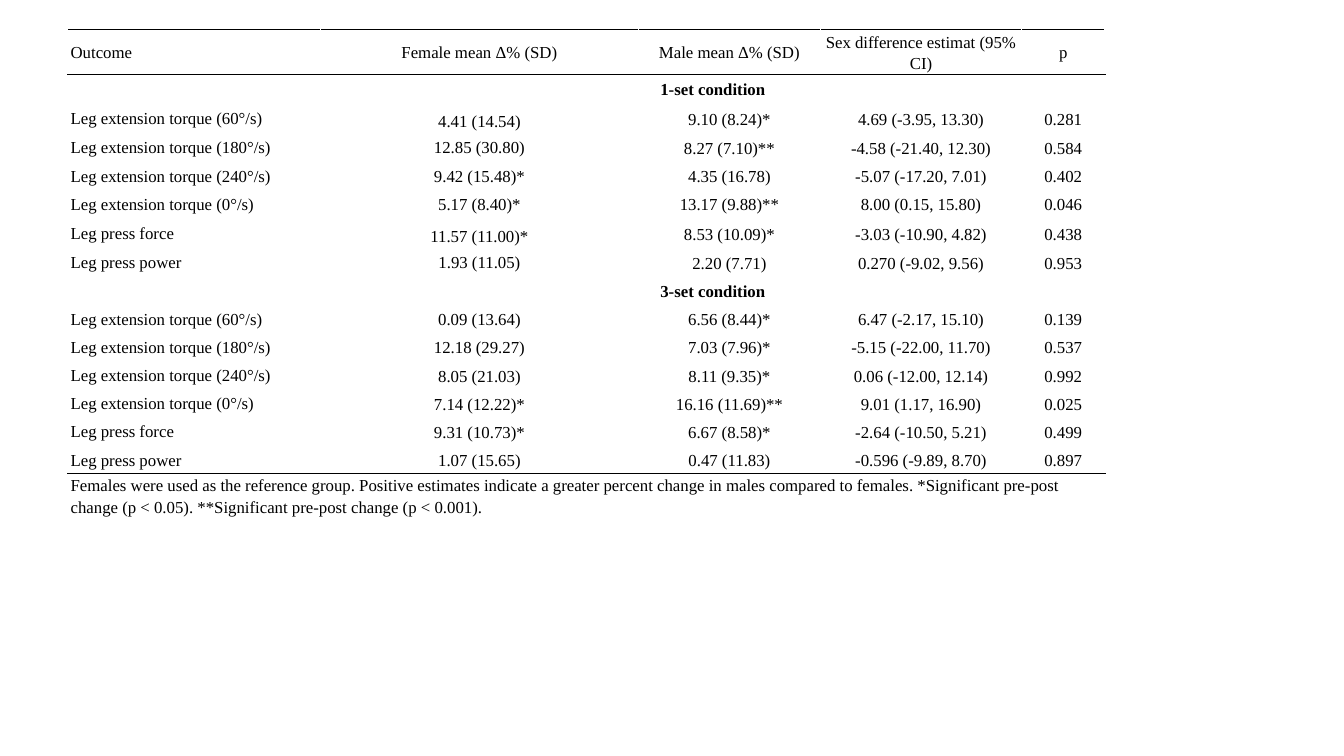
"""Build a slide tabulating strength changes by sex and training condition."""
from dataclasses import dataclass

from lxml import etree
from pptx import Presentation
from pptx import util as u
from pptx.dml.color import RGBColor
from pptx.enum import text
from pptx.oxml.ns import qn
from pptx.table import Table, _Cell

BLACK = RGBColor(0x00, 0x00, 0x00)
WHITE = RGBColor(0xFF, 0xFF, 0xFF)
FONT = "Times New Roman"
SIZE = u.Pt(12)
SLIDE_WIDTH, SLIDE_HEIGHT = u.Inches(13.33), u.Inches(7.5)
LEFT, TOP = 5.03, 3.87
COLUMN_SHARES = (18.83, 23.63, 13.58, 14.93, 6.23)
ROW_SHARE = 3.73


@dataclass(frozen=True)
class Insets:
    """Cell margins in inches."""
    left: float
    top: float
    right: float
    bottom: float


LABEL = Insets(0.03, 0.01, 0.03, 0.01)
VALUE = Insets(0.01, 0.01, 0.01, 0)
PADDED = Insets(0.01, 0.02, 0.01, 0.02)
LOWERED = Insets(0.01, 0.07, 0.01, 0.02)


@dataclass(frozen=True)
class Outcome:
    """One measured outcome and its results for both sexes."""
    name: str
    female: str
    male: str
    difference: str
    p: str
    female_insets: Insets = VALUE


@dataclass(frozen=True)
class Condition:
    """A training condition with its outcomes."""
    name: str
    insets: Insets
    outcomes: tuple[Outcome, ...]


TORQUE_60 = "Leg extension torque (60°/s)"
TORQUE_180 = "Leg extension torque (180°/s)"
TORQUE_240 = "Leg extension torque (240°/s)"
TORQUE_0 = "Leg extension torque (0°/s)"
FORCE = "Leg press force"
POWER = "Leg press power"

HEADINGS = ("Outcome", "Female mean Δ% (SD)", "Male mean Δ% (SD)",
            "Sex difference estimat (95% CI)", "p")
CONDITIONS = (
    Condition("1-set condition", LABEL, (
        Outcome(TORQUE_60, "4.41 (14.54)", "9.10 (8.24)*", "4.69 (-3.95, 13.30)", "0.281", LOWERED),
        Outcome(TORQUE_180, "12.85 (30.80)", "8.27 (7.10)**", "-4.58 (-21.40, 12.30)", "0.584", PADDED),
        Outcome(TORQUE_240, "9.42 (15.48)*", "4.35 (16.78)", "-5.07 (-17.20, 7.01)", "0.402", PADDED),
        Outcome(TORQUE_0, "5.17 (8.40)*", "13.17 (9.88)**", "8.00 (0.15, 15.80)", "0.046", PADDED),
        Outcome(FORCE, "11.57 (11.00)*", "8.53 (10.09)*", "-3.03 (-10.90, 4.82)", "0.438", LOWERED),
        Outcome(POWER, "1.93 (11.05)", "2.20 (7.71)", "0.270 (-9.02, 9.56)", "0.953", PADDED),
    )),
    Condition("3-set condition", PADDED, (
        Outcome(TORQUE_60, "0.09 (13.64)", "6.56 (8.44)*", "6.47 (-2.17, 15.10)", "0.139"),
        Outcome(TORQUE_180, "12.18 (29.27)", "7.03 (7.96)*", "-5.15 (-22.00, 11.70)", "0.537"),
        Outcome(TORQUE_240, "8.05 (21.03)", "8.11 (9.35)*", "0.06 (-12.00, 12.14)", "0.992"),
        Outcome(TORQUE_0, "7.14 (12.22)*", "16.16 (11.69)**", "9.01 (1.17, 16.90)", "0.025"),
        Outcome(FORCE, "9.31 (10.73)*", "6.67 (8.58)*", "-2.64 (-10.50, 5.21)", "0.499"),
        Outcome(POWER, "1.07 (15.65)", "0.47 (11.83)", "-0.596 (-9.89, 8.70)", "0.897"),
    )),
)
FOOTNOTE = ("Females were used as the reference group. Positive estimates indicate a greater "
            "percent change in males compared to females. *Significant pre-post change "
            "(p < 0.05). **Significant pre-post change (p < 0.001).")


def across(share: float) -> u.Emu:
    """Turn a percentage of the slide width into a length."""
    return u.Emu(round(SLIDE_WIDTH * share / 100))


def down(share: float) -> u.Emu:
    """Turn a percentage of the slide height into a length."""
    return u.Emu(round(SLIDE_HEIGHT * share / 100))


def rule_cell(cell: _Cell, top: RGBColor, bottom: RGBColor) -> None:
    """Clear the fill and draw the four borders of a cell."""
    cell.fill.background()
    properties = cell._tc.get_or_add_tcPr()
    edges = (("a:lnL", WHITE), ("a:lnR", WHITE), ("a:lnT", top), ("a:lnB", bottom))
    for place, (edge, colour) in enumerate(edges):
        border = etree.Element(qn(edge), w=str(u.Pt(1)))
        solid = etree.SubElement(border, qn("a:solidFill"))
        etree.SubElement(solid, qn("a:srgbClr"), val=str(colour))
        properties.insert(place, border)


def write(cell: _Cell, words: str, insets: Insets, centred: bool = True, bold: bool = False) -> None:
    """Write one formatted run into a cell."""
    cell.vertical_anchor = text.MSO_ANCHOR.MIDDLE
    cell.margin_left, cell.margin_top = u.Inches(insets.left), u.Inches(insets.top)
    cell.margin_right, cell.margin_bottom = u.Inches(insets.right), u.Inches(insets.bottom)
    paragraph = cell.text_frame.paragraphs[0]
    paragraph.alignment = text.PP_ALIGN.CENTER if centred else text.PP_ALIGN.LEFT
    paragraph.line_spacing = 1.15
    paragraph.space_after = u.Pt(8)
    run = paragraph.add_run()
    run.text = words
    run.font.name, run.font.size, run.font.bold = FONT, SIZE, bold
    run.font.color.rgb = BLACK


def leave_empty(cell: _Cell) -> None:
    """Keep an empty cell as low as its row."""
    cell.margin_top = cell.margin_bottom = 0
    paragraph = cell.text_frame.paragraphs[0]
    etree.SubElement(paragraph._p, qn("a:endParaRPr"), sz=str(round(SIZE.pt * 100)))


def fill_condition(table: Table, row: int, condition: Condition) -> int:
    """Write a condition with its outcomes and return the next free row."""
    leave_empty(table.cell(row, 0))
    table.cell(row, 1).merge(table.cell(row, len(HEADINGS) - 1))
    write(table.cell(row, 1), condition.name, condition.insets, bold=True)
    for row, outcome in enumerate(condition.outcomes, row + 1):
        write(table.cell(row, 0), outcome.name, LABEL, centred=False)
        write(table.cell(row, 1), outcome.female, outcome.female_insets)
        for column, value in enumerate((outcome.male, outcome.difference, outcome.p), 2):
            write(table.cell(row, column), value, VALUE)
    return row + 1


def main() -> None:
    """Build and save the slide."""
    deck = Presentation()
    deck.slide_width, deck.slide_height = SLIDE_WIDTH, SLIDE_HEIGHT
    slide = deck.slides.add_slide(deck.slide_layouts[6])
    row_count = 2 + sum(1 + len(condition.outcomes) for condition in CONDITIONS)
    results = slide.shapes.add_table(
        row_count, len(HEADINGS), across(LEFT), down(TOP),
        across(sum(COLUMN_SHARES)), down(ROW_SHARE * row_count)).table
    results.first_row = results.horz_banding = False
    for column, share in zip(results.columns, COLUMN_SHARES):
        column.width = across(share)
    ruled = {0, 1, row_count - 1}
    for index, row in enumerate(results.rows):
        row.height = down(ROW_SHARE)
        for cell in row.cells:
            rule_cell(cell, BLACK if index in ruled else WHITE,
                      BLACK if index + 1 in ruled else WHITE)
    for column, heading in enumerate(HEADINGS):
        write(results.cell(0, column), heading, LABEL, centred=column > 0)
    next_row = 1
    for condition in CONDITIONS:
        next_row = fill_condition(results, next_row, condition)
    results.cell(next_row, 0).merge(results.cell(next_row, len(HEADINGS) - 1))
    write(results.cell(next_row, 0), FOOTNOTE, LABEL, centred=False)
    deck.save("out.pptx")


if __name__ == "__main__":
    main()
